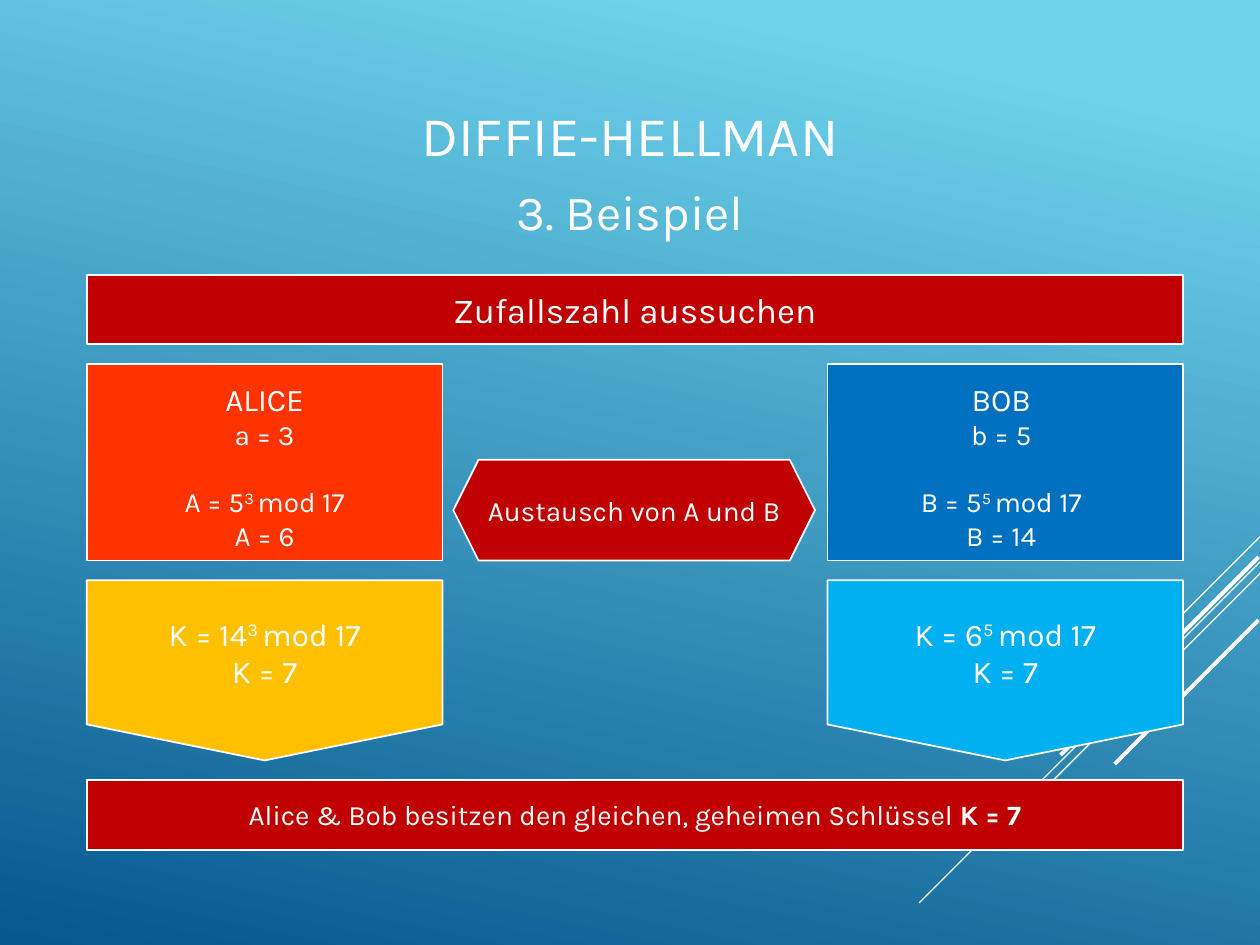
from lxml.etree import SubElement
from pptx import Presentation
from pptx.dml.color import RGBColor as Rgb
from pptx.enum.shapes import MSO_CONNECTOR as Link, MSO_SHAPE as Kind
from pptx.enum.text import MSO_ANCHOR as Anchor, MSO_AUTO_SIZE as Fit, PP_ALIGN as Align
from pptx.oxml.ns import qn
from pptx.util import Cm, Pt

HUE = {
    "white": "FFFFFF", "sky": "6ED2EB", "deep": "06588E", "red": "C00000",
    "orange": "FF3300", "blue": "0070C0", "gold": "FFC000", "cyan": "00B0F0",
}
FONT = "Karla"

# A line is (size, space before, runs); a run is (text, style).
TITLE = [(32, 0, [("DIFFIE-HELLMAN", "")])]
SUB = [(28, 0, [("3. Beispiel", "")])]
PICK = [(20, 0, [("Zufallszahl aussuchen", "")])]
SWAP = [(16, 0, [("Austausch von A und B", "")])]
END = [(16, 0, [("Alice & Bob besitzen den gleichen, geheimen Schlüssel ", ""),
                ("K = 7", "bold")])]
SIDES = [
    {"name": "ALICE", "pick": "a = 3", "base": "A = 5", "exp": "3 ", "sent": "A = 6",
     "key": "K = 14", "box": "orange", "flag": "gold", "shift": 0},
    {"name": "BOB", "pick": "b = 5", "base": "B = 5", "exp": "5 ", "sent": "B = 14",
     "key": "K = 6", "box": "blue", "flag": "cyan", "shift": -0.08},
]
# Slanted lines: start x, start y, run (down and to the left), weight
RAYS = [
    (25.4, 10.82, 2.11, 0.75), (25.4, 11.33, 6.87, 0.75), (25.4, 11.56, 4.37, 0.75),
    (25.37, 11.23, 3.99, 2.25), (25.37, 12.5, 2.9, 2.25),
]

WIDE, HIGH = 25.4, 19.05
LEFT, SPAN, COL = 1.75, 22.1, 7.17
GAP, BAR, BOX, FLAG = 0.4, 1.4, 3.96, 3.63
TOP = 5.54
BOX_Y = TOP + BAR + GAP
FLAG_Y = BOX_Y + BOX + GAP
END_Y = FLAG_Y + FLAG + GAP
SWAP_X, SWAP_W, SWAP_H = 9.14, 7.29, 2.03
SWAP_Y = BOX_Y + BOX - SWAP_H


def tint(name):
    return Rgb.from_string(HUE[name])


def write(shape, lines):
    frame = shape.text_frame
    frame.word_wrap = True
    for i, (size, gap, runs) in enumerate(lines):
        para = frame.add_paragraph() if i else frame.paragraphs[0]
        para.alignment = Align.CENTER
        para.space_before = Pt(gap)
        for text, style in runs:
            run = para.add_run()
            run.text = text
            font = run.font
            font.name, font.size = FONT, Pt(size)
            font.color.rgb = tint("white")
            if style == "bold":
                font.bold = True
            elif style == "super":
                run._r.get_or_add_rPr().set("baseline", "30000")


def label(slide, x, y, w, h, lines):
    box = slide.shapes.add_textbox(Cm(x), Cm(y), Cm(w), Cm(h))
    write(box, lines)
    box.text_frame.auto_size = Fit.SHAPE_TO_FIT_TEXT


def block(slide, kind, x, y, w, h, fill):
    shape = slide.shapes.add_shape(kind, Cm(x), Cm(y), Cm(w), Cm(h))
    shape.shadow.inherit = False
    shape.fill.solid()
    shape.fill.fore_color.rgb = tint(fill)
    shape.line.color.rgb = tint("white")
    shape.line.width = Pt(1)
    return shape


def ray(slide, x, y, run, weight):
    line = slide.shapes.add_connector(
        Link.STRAIGHT, Cm(x), Cm(y), Cm(x - run), Cm(y + run))
    line.line.color.rgb = tint("white")
    line.line.width = Pt(weight)
    SubElement(line._element.spPr, qn("a:effectLst"))


def bar(slide, y, high, lines):
    """Full-width bar with a label of the given height centred in it."""
    block(slide, Kind.RECTANGLE, LEFT, y, SPAN, BAR, "red")
    label(slide, LEFT, y + (BAR - high) / 2, SPAN, high, lines)


def column(slide, x, side):
    power = [(side["exp"], "super"), ("mod 17", "")]
    block(slide, Kind.RECTANGLE, x, BOX_Y, COL, BOX, side["box"])
    label(slide, x + side["shift"], BOX_Y + 0.2, COL, BOX - 0.2, [
        (18, 0, [(side["name"], "")]),
        (16, 0, [(side["pick"], "")]),
        (16, 19, [(side["base"], "")] + power),
        (16, 0, [(side["sent"], "")]),
    ])
    flag = block(slide, Kind.FLOWCHART_OFFPAGE_CONNECTOR, x, FLAG_Y, COL, FLAG, side["flag"])
    write(flag, [(18, 0, [(side["key"], "")] + power), (18, 0, [("K = 7", "")])])
    flag.text_frame.vertical_anchor = Anchor.MIDDLE


def main():
    prs = Presentation()
    prs.slide_width, prs.slide_height = Cm(WIDE), Cm(HIGH)
    slide = prs.slides.add_slide(prs.slide_layouts[5])

    back = slide.background.fill
    back.gradient()
    back.gradient_angle = 258
    for stop, name, pos in zip(back.gradient_stops, ("sky", "deep"), (0.1, 1)):
        stop.color.rgb = tint(name)
        stop.position = pos

    for item in RAYS:
        ray(slide, *item)

    title = slide.shapes.title
    title.left, title.top, title.width, title.height = Cm(0), Cm(0.58), Cm(WIDE), Cm(4.24)
    write(title, TITLE)
    title.text_frame.vertical_anchor = Anchor.MIDDLE
    label(slide, 0, 3.53, WIDE, 1.45, SUB)

    bar(slide, TOP, 1.11, PICK)
    for i, side in enumerate(SIDES):
        column(slide, LEFT + i * (SPAN - COL), side)

    swap = block(slide, Kind.LEFT_RIGHT_ARROW_CALLOUT, SWAP_X, SWAP_Y, SWAP_W, SWAP_H, "red")
    for i, value in enumerate((1, 0.5, 0.25, 0.48)):
        swap.adjustments[i] = value
    label(slide, SWAP_X, SWAP_Y + (SWAP_H - 0.94) / 2, SWAP_W, 0.94, SWAP)

    bar(slide, END_Y, 0.94, END)
    prs.save("out.pptx")


if __name__ == "__main__":
    main()
